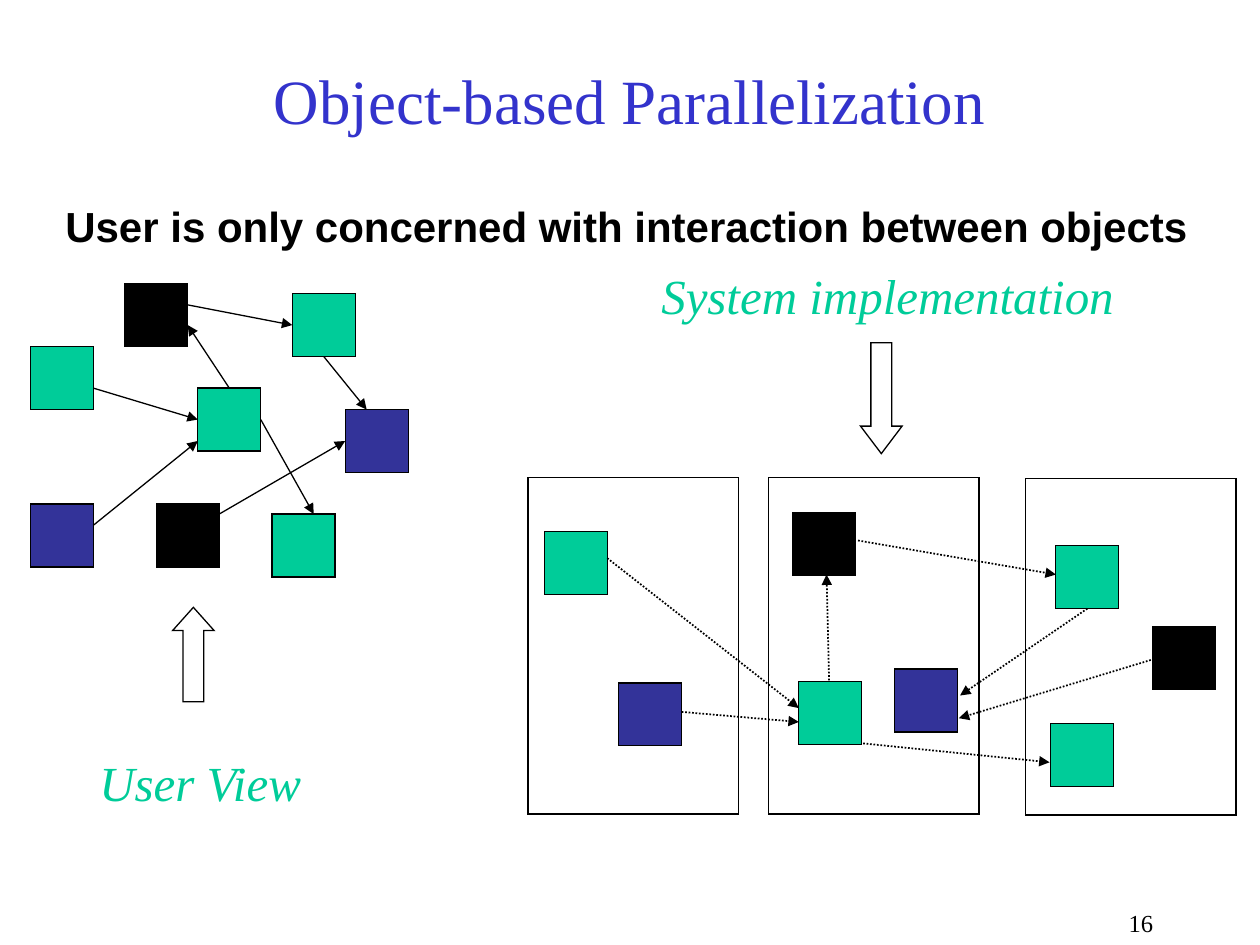
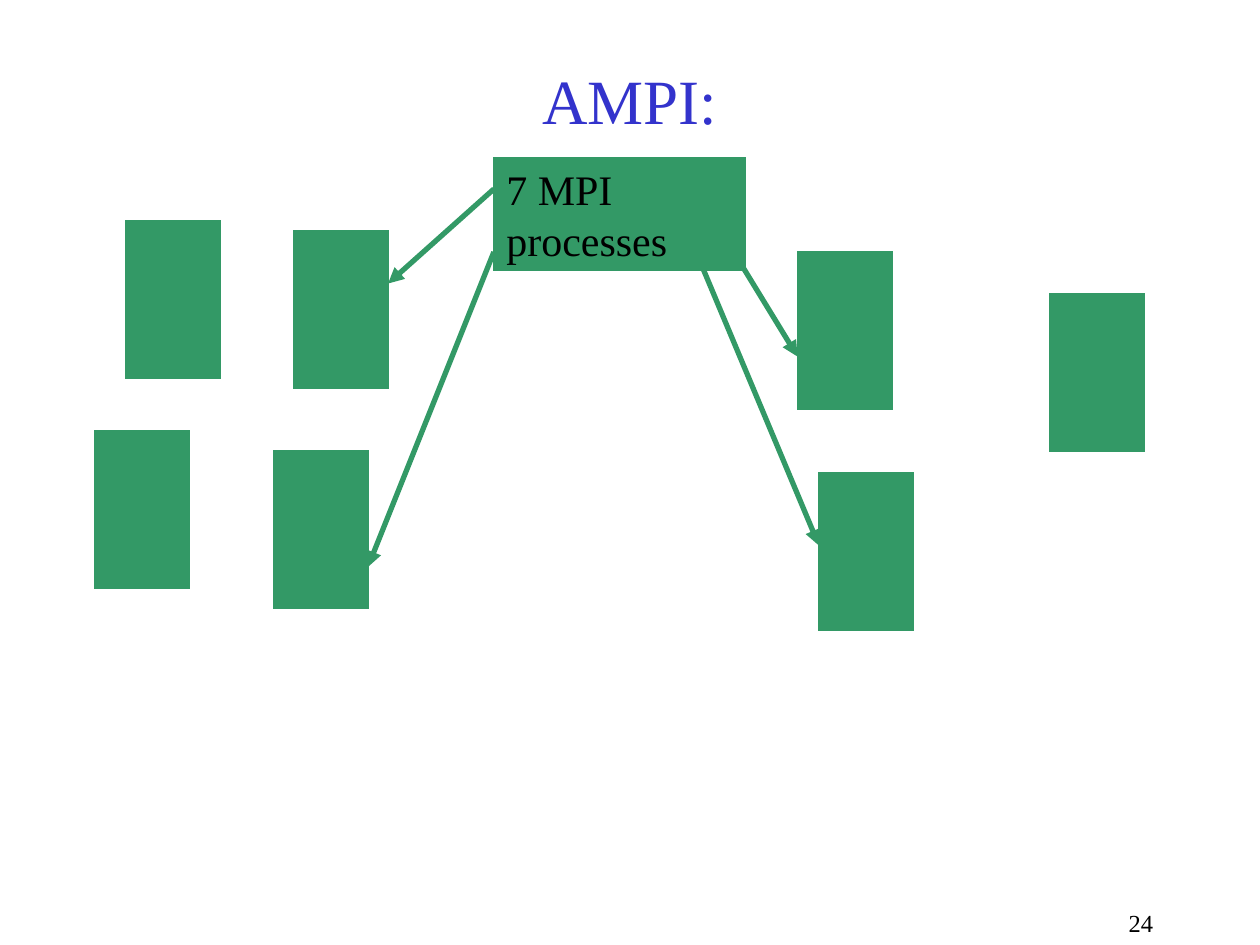
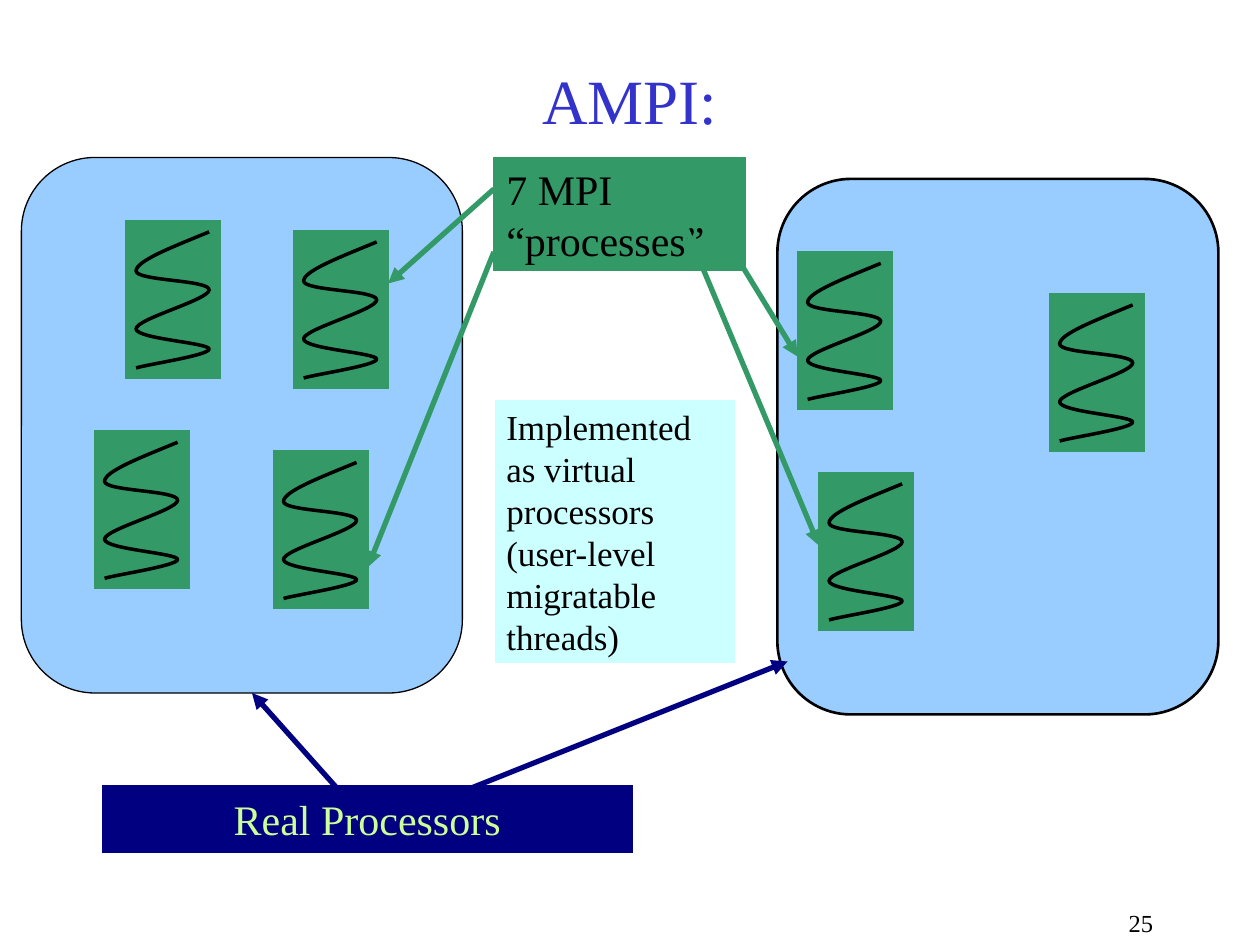
"""Build three slides on object-based parallelization and AMPI."""
from lxml.etree import SubElement
from pptx import Presentation
from pptx.dml.color import RGBColor
from pptx.enum.dml import MSO_LINE
from pptx.enum.shapes import MSO_CONNECTOR, MSO_SHAPE as SHAPE
from pptx.enum.text import MSO_ANCHOR as ANCHOR, PP_ALIGN as ALIGN
from pptx.oxml.ns import qn
from pptx.util import Inches, Pt

BLACK = RGBColor(0x00, 0x00, 0x00)
WHITE = RGBColor(0xFF, 0xFF, 0xFF)
TITLE_BLUE = RGBColor(0x33, 0x33, 0xCC)
TEAL = RGBColor(0x00, 0xCC, 0x99)
INDIGO = RGBColor(0x33, 0x33, 0x99)
GREEN = RGBColor(0x33, 0x99, 0x66)
SKY = RGBColor(0x99, 0xCC, 0xFF)
NAVY = RGBColor(0x00, 0x00, 0x80)
LIME = RGBColor(0xCC, 0xFF, 0x99)
PALE_CYAN = RGBColor(0xCC, 0xFF, 0xFF)
SERIF = "Times New Roman"


def add_box(page, place, kind=SHAPE.RECTANGLE, fill=None, line=None, width=0.75,
            text="", size=24, color=BLACK, font=SERIF, bold=False, italic=False,
            align=ALIGN.LEFT, anchor=ANCHOR.TOP, wrap=True, spacing=None):
    place = [Inches(length) for length in place]
    if fill is None and line is None:
        box = page.shapes.add_textbox(*place)
    else:
        box = page.shapes.add_shape(kind, *place)
        box.shadow.inherit = False
        box.line.color.rgb = line
        box.line.width = Pt(width)
        SubElement(box.line._get_or_add_ln(), qn("a:miter"), lim="800000")
        if fill is None:
            box.fill.background()
        else:
            box.fill.solid()
            box.fill.fore_color.rgb = fill
    if text:
        frame = box.text_frame
        frame.word_wrap = wrap
        frame.vertical_anchor = anchor
        para = frame.paragraphs[0]
        para.alignment = align
        para.line_spacing = spacing
        span = para.add_run()
        span.text = text
        span.font.name = font
        span.font.size = Pt(size)
        span.font.bold = bold
        span.font.italic = italic
        span.font.color.rgb = color
    return box


def add_arrow(page, ends, color=BLACK, width=0.75, dash=None):
    arrow = page.shapes.add_connector(
        MSO_CONNECTOR.STRAIGHT, *[Inches(length) for length in ends])
    arrow.line.color.rgb = color
    arrow.line.width = Pt(width)
    if dash:
        arrow.line.dash_style = dash
    SubElement(arrow.line._get_or_add_ln(), qn("a:tailEnd"), type="triangle")
    SubElement(arrow._element.spPr, qn("a:effectLst"))


deck = Presentation()
deck.slide_width = Inches(10)
deck.slide_height = Inches(7.5)

pages = []
for title, number in (("Object-based Parallelization", "16"), ("AMPI:", "24"), ("AMPI:", "25")):
    page = deck.slides.add_slide(deck.slide_layouts[6])
    add_box(page, (0.42, 0.5, 9.16, 0.58), text=title, size=36, color=TITLE_BLUE,
            align=ALIGN.CENTER, anchor=ANCHOR.MIDDLE)
    add_box(page, (7.42, 7.16, 1.83, 0.33), text=number, size=14, align=ALIGN.RIGHT)
    pages.append(page)
objects_page, processes_page, processors_page = pages

add_box(objects_page, (0.42, 1.59, 9.14, 0.46), font="Arial", bold=True, spacing=0.9,
        text="User is only concerned with interaction between objects")
for label, place in (("User View", (0.69, 5.92, 1.83, 0.57)),
                     ("System implementation", (5.15, 2.06, 3.79, 0.57))):
    add_box(objects_page, place, text=label, size=28, color=TEAL, italic=True, wrap=False)
for kind, place, head in ((SHAPE.UP_ARROW, (1.37, 4.82, 0.33, 0.75), 0.56),
                          (SHAPE.DOWN_ARROW, (6.83, 2.72, 0.33, 0.88), 0.66)):
    pointer = add_box(objects_page, place, kind, line=BLACK)
    pointer.adjustments[1] = head
for left, top in ((4.19, 3.79), (6.1, 3.79), (8.14, 3.8)):
    add_box(objects_page, (left, top, 1.67, 2.67), line=BLACK)

user_objects = (
    (0.24, 2.75, TEAL), (2.32, 2.33, TEAL), (1.24, 4, BLACK), (2.74, 3.25, INDIGO),
    (0.24, 4, INDIGO), (1.57, 3.08, TEAL), (0.99, 2.25, BLACK), (2.16, 4.08, TEAL))
system_objects = (
    (7.1, 5.31, INDIGO), (8.34, 5.74, TEAL), (6.34, 5.41, TEAL), (4.91, 5.42, INDIGO),
    (6.29, 4.07, BLACK), (4.32, 4.22, TEAL), (9.15, 4.97, BLACK), (8.38, 4.33, TEAL))
for left, top, fill in user_objects + system_objects:
    add_box(objects_page, (left, top, 0.5, 0.5), fill=fill, line=BLACK)

user_messages = (
    (0.74, 3.08, 1.57, 3.33), (0.74, 4.17, 1.57, 3.5), (1.74, 4.08, 2.74, 3.5),
    (1.82, 3.08, 1.49, 2.58), (1.49, 2.42, 2.32, 2.58), (2.07, 3.33, 2.49, 4.08),
    (2.57, 2.83, 2.91, 3.25))
for ends in user_messages:
    add_arrow(objects_page, ends)
system_messages = (
    (4.82, 4.43, 6.34, 5.62), (5.41, 5.65, 6.34, 5.73), (6.81, 4.29, 8.38, 4.56),
    (8.63, 4.83, 7.62, 5.52), (9.16, 5.23, 7.61, 5.7), (6.58, 5.4, 6.56, 4.56),
    (6.85, 5.9, 8.33, 6.05))
for ends in system_messages:
    add_arrow(objects_page, ends, width=1, dash=MSO_LINE.ROUND_DOT)

for left, top, width in ((6.17, 1.42, 1.5), (0.17, 1.25, 0.75)):
    add_box(processors_page, (left, top, 3.5, 4.25), SHAPE.ROUNDED_RECTANGLE,
            fill=SKY, line=BLACK, width=width)
add_box(processors_page, (0.83, 6.25, 4.17, 0.5), fill=NAVY, line=NAVY, width=3,
        text="Real Processors", color=LIME, align=ALIGN.CENTER)
for ends in ((2.67, 6.25, 2, 5.5), (3.75, 6.25, 6.25, 5.25)):
    add_arrow(processors_page, ends, NAVY, 3)

processes = ((1, 1.75), (2.33, 1.83), (2.17, 3.58), (8.33, 2.33),
             (6.5, 3.75), (6.33, 2), (0.75, 3.42))
process_arrows = ((3.92, 1.5, 3.08, 2.25), (3.92, 2, 2.92, 4.5),
                  (5.42, 1.75, 6.5, 4.33), (5.67, 1.75, 6.33, 2.83))
for page, label in ((processes_page, "7 MPI processes"),
                    (processors_page, "7 MPI “processes”")):
    add_box(page, (3.92, 1.25, 2, 0.9), fill=GREEN, line=GREEN, text=label)
    for ends in process_arrows:
        add_arrow(page, ends, GREEN, 3)
    for left, top in processes:
        add_box(page, (left, top, 0.75, 1.25), fill=GREEN, line=GREEN)

thread_points = (
    (0.58, 0),
    (0.29, 0.12), (0, 0.23), (0, 0.31),
    (0, 0.39), (0.58, 0.38), (0.58, 0.46),
    (0.58, 0.54), (0, 0.69), (0, 0.77),
    (0, 0.85), (0.58, 0.88), (0.58, 0.93),
    (0.58, 0.98), (0.1, 1.05), (0, 1.08))
for left, top in processes:
    outline = [(Inches(left + 0.08 + x), Inches(top + 0.09 + y)) for x, y in thread_points]
    builder = processors_page.shapes.build_freeform(*outline[0])
    builder.add_line_segments(outline[1:], close=False)
    thread = builder.convert_to_shape()
    thread.shadow.inherit = False
    thread.fill.background()
    thread.line.color.rgb = BLACK
    thread.line.width = Pt(2)
    segments = list(thread._element.iter(qn("a:lnTo")))
    for first in range(0, len(segments), 3):
        curve = SubElement(segments[first].getparent(), qn("a:cubicBezTo"))
        for segment in segments[first:first + 3]:
            curve.append(segment[0])
            segment.getparent().remove(segment)

add_box(processors_page, (3.92, 3.17, 1.92, 2.1), fill=PALE_CYAN, line=WHITE, size=20,
        text="Implemented as virtual processors (user-level migratable threads)")

deck.save("out.pptx")
